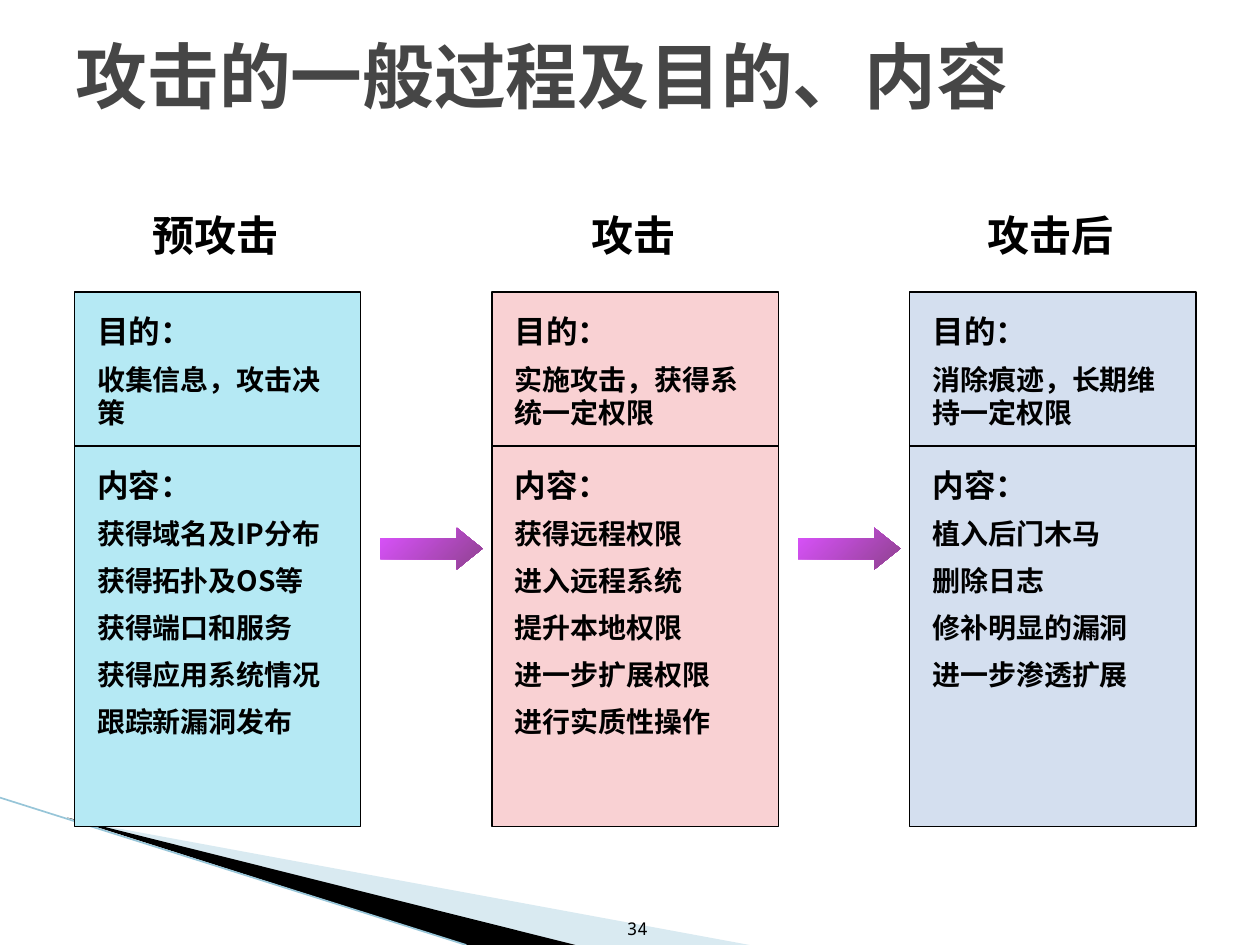
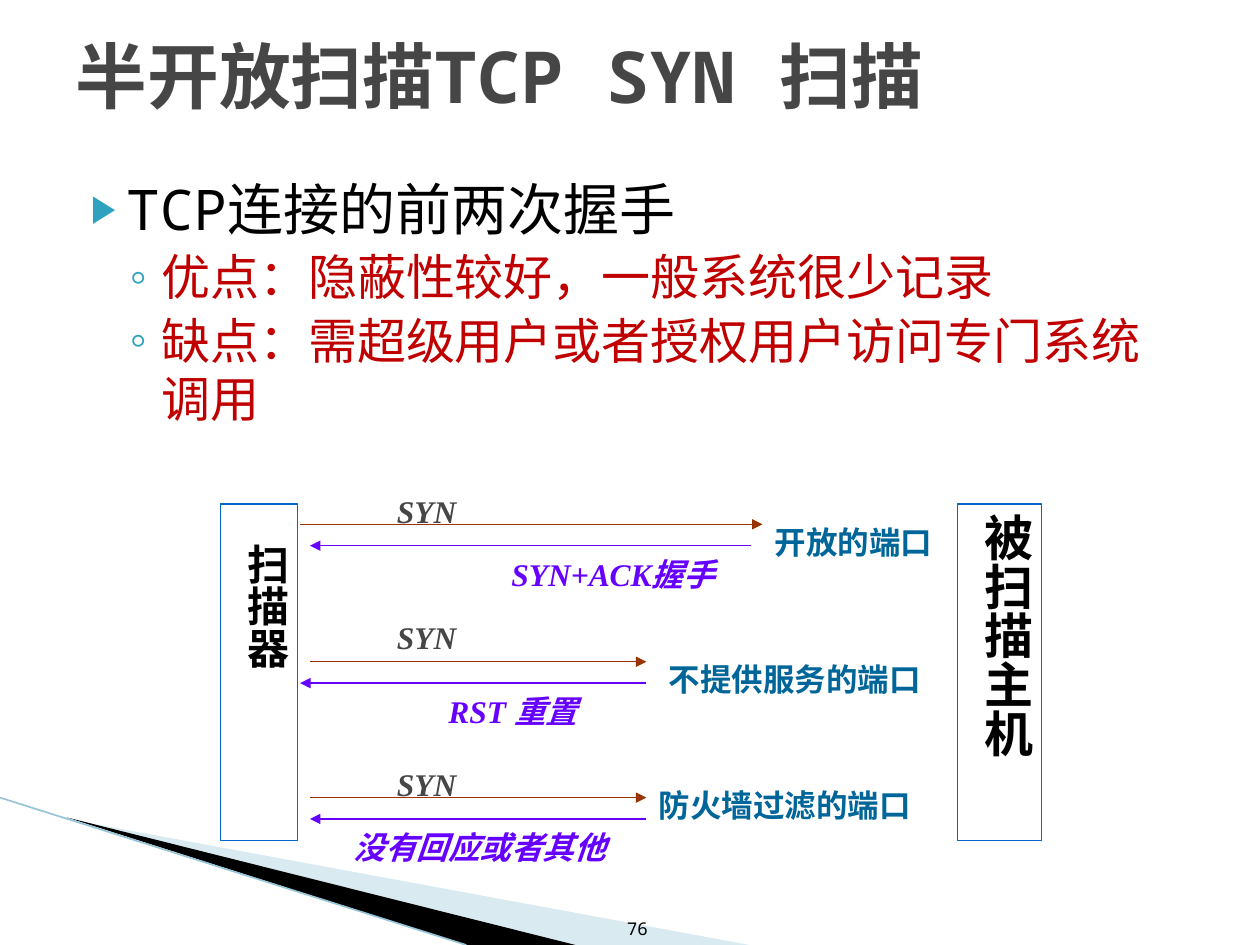
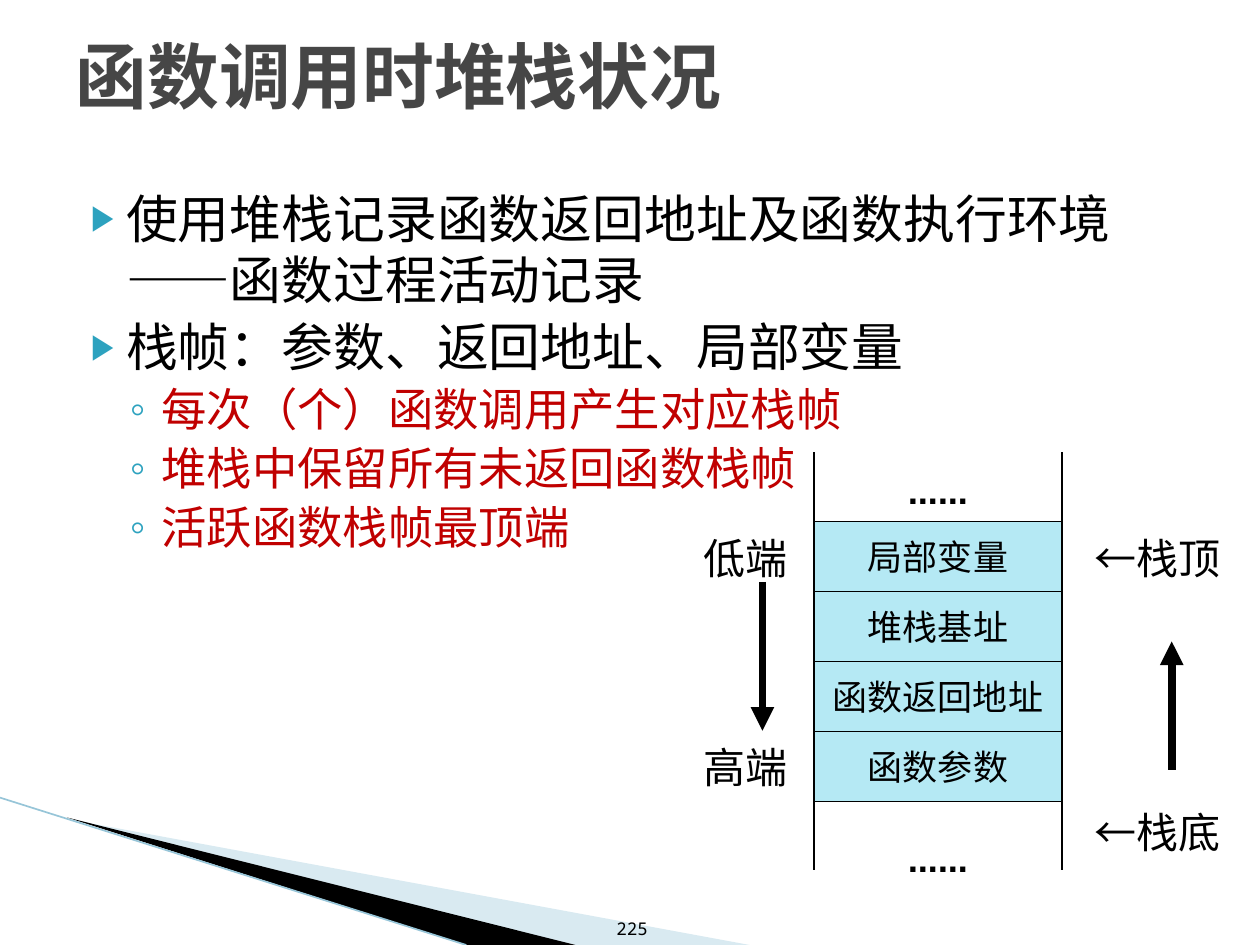
"""Builds three lecture slides on network attacks, port scans and call stacks."""
from lxml.etree import SubElement
from pptx import Presentation
from pptx.dml.color import RGBColor
from pptx.enum.shapes import MSO_CONNECTOR, MSO_SHAPE
from pptx.enum.text import MSO_ANCHOR, MSO_AUTO_SIZE, PP_ALIGN
from pptx.oxml.ns import qn
from pptx.util import Cm, Pt

ink = RGBColor.from_string
MONO, SERIF, CABIN, HAN = "Noto Sans Mono", "Times New Roman", "Cabin", "Noto Sans CJK SC"
BLACK, GREY, RED, TEAL = "000000", "464646", "C00000", "2DA2BF"
AQUA, BLUE, RUST, PURPLE = "B5E9F4", "006699", "993300", "6600FF"
LEFT, MID, RIGHT = PP_ALIGN.LEFT, PP_ALIGN.CENTER, PP_ALIGN.RIGHT


def put(page, spot, fill=None, edge=None):
    """Adds a text box, or a rectangle when an edge colour is given."""
    spot = [Cm(n) for n in spot]
    if not edge:
        box = page.shapes.add_textbox(*spot)
    else:
        box = page.shapes.add_shape(MSO_SHAPE.RECTANGLE, *spot)
        box.shadow.inherit = False
        box.line.color.rgb = ink(edge)
        box.line.width = Pt(0.75)
        box.fill.background()
        if fill:
            box.fill.solid()
            box.fill.fore_color.rgb = ink(fill)
        box.text_frame.vertical_anchor = MSO_ANCHOR.TOP
    box.text_frame.word_wrap = True
    return box


def write(frame, items, face, hue=BLACK, bold=False, slant=False,
          side=LEFT, gap=0.5, pad=3.6, fixed=True):
    """Fills a frame with one paragraph for each (text, size) pair."""
    frame.auto_size = MSO_AUTO_SIZE.NONE
    if fixed:
        frame.margin_top = Pt(pad + 0.12 * items[0][1])
    for i, (text, size) in enumerate(items):
        para = frame.add_paragraph() if i else frame.paragraphs[0]
        para.alignment = side
        para.space_before = Pt(gap * size if i else 0)
        if fixed:
            para.line_spacing = Pt(1.18 * size)
        run = para.add_run()
        run.text = text
        font = run.font
        font.name, font.size, font.bold, font.italic = face, Pt(size), bold, slant
        font.color.rgb = ink(hue)
        SubElement(run._r.get_or_add_rPr(), qn("a:ea"), typeface=HAN)


deck = Presentation()
deck.slide_width, deck.slide_height = Cm(25.4), Cm(19.05)

heads = [
    ("攻击的一般过程及目的、内容", "34", 5),
    ("半开放扫描TCP SYN 扫描", "76", 1),
    ("函数调用时堆栈状况", "225", 1),
]
for head, num, kind in heads:
    page = deck.slides.add_slide(deck.slide_layouts[kind])
    title = page.shapes.title
    title.left, title.top, title.width, title.height = Cm(1.27), Cm(-0.08), Cm(22.86), Cm(3.18)
    title.text_frame.vertical_anchor = MSO_ANCHOR.MIDDLE
    write(title.text_frame, [(head, 41)], MONO, GREY, bold=True, fixed=False)
    foot = put(page, (11.89, 17.81, 1.42, 1.24)).text_frame
    foot.vertical_anchor = MSO_ANCHOR.BOTTOM
    write(foot, [(num, 10)], MONO, side=RIGHT, fixed=False)

steps, scan, stack = deck.slides

lists = [
    (scan, 3.28, 14.48, [
        ("TCP连接的前两次握手", 32),
        ("优点：隐蔽性较好，一般系统很少记录", 28),
        ("缺点：需超级用户或者授权用户访问专门系统调用", 28)]),
    (stack, 3.53, 7.67, [
        ("使用堆栈记录函数返回地址及函数执行环境——函数过程活动记录", 29.6),
        ("栈帧：参数、返回地址、局部变量", 29.6),
        ("每次（个）函数调用产生对应栈帧", 25.9),
        ("堆栈中保留所有未返回函数栈帧", 25.9),
        ("活跃函数栈帧最顶端", 25.9)]),
]
for page, top, high, items in lists:
    body = page.placeholders[1]
    body.left, body.top, body.width, body.height = Cm(1.27), Cm(top), Cm(22.86), Cm(high)
    write(body.text_frame, items, MONO, gap=0.12)
    for para, (text, size) in zip(body.text_frame.paragraphs, items):
        sub = size < items[0][1]
        props = para._p.get_or_add_pPr()
        props.set("marL", str(Cm(1.73 if sub else 1.02)))
        props.set("indent", str(Cm(-0.64 if sub else -0.71)))
        SubElement(SubElement(props, qn("a:buClr")), qn("a:srgbClr"), val=TEAL)
        SubElement(props, qn("a:buSzPct"), val="100000" if sub else "68000")
        SubElement(props, qn("a:buChar"), char="◦" if sub else "▶")
        if sub:
            para.level = 1
            para.runs[0].font.color.rgb = ink(RED)

phases = [
    ("预攻击", AQUA, "收集信息，攻击决策",
     ["获得域名及IP分布", "获得拓扑及OS等", "获得端口和服务", "获得应用系统情况", "跟踪新漏洞发布"]),
    ("攻击", "F9D1D3", "实施攻击，获得系统一定权限",
     ["获得远程权限", "进入远程系统", "提升本地权限", "进一步扩展权限", "进行实质性操作"]),
    ("攻击后", "D4DFEF", "消除痕迹，长期维持一定权限",
     ["植入后门木马", "删除日志", "修补明显的漏洞", "进一步渗透扩展"]),
]
for i, (name, tint, goal, acts) in enumerate(phases):
    x = 1.5 + 8.42 * i
    write(put(steps, (x - 0.04, 4.01, 5.77, 1.28)).text_frame, [(name, 24)], SERIF, bold=True, side=MID)
    for top, high, label, rows in [(5.89, 3.1, "目的：", [goal]), (8.99, 7.67, "内容：", acts)]:
        frame = put(steps, (x, top, 5.77, high), tint, BLACK).text_frame
        frame.margin_left, frame.margin_right = Cm(0.46), Cm(0.3)
        write(frame, [(label, 18)] + [(row, 16) for row in rows], HAN, bold=True, pad=9.4)
    if i:
        arrow = steps.shapes.add_shape(MSO_SHAPE.RIGHT_ARROW, Cm(x - 2.25), Cm(10.64), Cm(2.06), Cm(0.84))
        arrow.shadow.inherit = False
        arrow.adjustments[0], arrow.adjustments[1] = 0.5, 0.62
        arrow.line.fill.background()
        arrow.fill.gradient()
        arrow.fill.gradient_angle = 315
        for stop, hue in zip(arrow.fill.gradient_stops, ["DC52FF", "8E428E"]):
            stop.color.rgb = ink(hue)

for name, size, x, wide, top in [("扫描器", 24, 4.45, 1.55, 0.8), ("被扫描主机", 28, 19.3, 1.7, 0.2)]:
    host = put(scan, (x, 10.16, wide, 8.53 - 1.75), edge="0066CC")
    host.element.txBody.bodyPr.set("vert", "eaVert")
    frame = host.text_frame
    write(frame, [(name, size)], SERIF, bold=True)
    frame.margin_left = frame.margin_right = Cm(0.13)
    frame.margin_top = Cm(top)

links = []
probes = [
    (6.05, 15.37, 10.57, 15.14, 6.25, 9.73, "SYN+ACK握手", 10.06, "开放的端口", 15.37, 10.36),
    (6.25, 13.03, 13.34, 13.03, 6.05, 12.27, "RST 重置", 8.79, "不提供服务的端口", 13.23, 13.11),
    (6.25, 13.03, 16.08, 13.03, 6.25, 15.24, "没有回应或者其他", 6.88, "防火墙过滤的端口", 13.03, 15.65),
]
for start, end, y, back, home, high, reply, rx, port, px, py in probes:
    low = y + 0.43
    links += [(scan, start, y, end, y, RUST, 0.75, True),
              (scan, back, low, home, low, PURPLE, 0.75, True)]
    for text, x, top, hue, slant in [("SYN", 7.75, high, GREY, True),
                                     (reply, rx, low, PURPLE, True),
                                     (port, px, py, BLUE, False)]:
        frame = put(scan, (x, top, 6.15, 1.02)).text_frame
        write(frame, [(text, 18)], SERIF, hue, bold=True, slant=slant)

for i, name in enumerate(["局部变量", "堆栈基址", "函数返回地址", "函数参数"]):
    frame = put(stack, (16.41, 10.52 + 1.41 * i, 5, 1.41), AQUA, BLACK).text_frame
    frame.vertical_anchor = MSO_ANCHOR.MIDDLE
    frame.word_wrap = False
    write(frame, [(name, 20)], CABIN, side=MID, fixed=False)

notes = [
    ("低端", 13.94, 10.52, 2.21), ("高端", 13.94, 14.73, 2.21),
    ("←栈顶", 21.82, 10.52, 3.48), ("←栈底", 21.82, 16.05, 3.48),
    ("……", 16.41, 9.12, 5), ("……", 16.41, 16.54, 5),
]
for text, x, y, wide in notes:
    dots = text == "……"
    frame = put(stack, (x, y, wide, 1.28)).text_frame
    write(frame, [(text, 24)], CABIN, bold=dots, side=MID if dots else LEFT)

links += [
    (stack, 16.41, 9.12, 16.41, 17.53, BLACK, 0.75, False),
    (stack, 21.41, 9.12, 21.41, 17.53, BLACK, 0.75, False),
    (stack, 15.37, 11.73, 15.37, 14.73, BLACK, 4.5, True),
    (stack, 23.62, 15.52, 23.62, 12.93, BLACK, 4.5, True),
]

decor = []
for hue, first, rest in [("D9EAF1", (1.4, 16.52), [(15.11, 19.05), (11.58, 19.05)]),
                         (BLACK, (1.35, 16.48), [(11.6, 19.05), (9.4, 19.05)])]:
    pen = steps.shapes.build_freeform(Cm(first[0]), Cm(first[1]))
    pen.add_line_segments([(Cm(x), Cm(y)) for x, y in rest], close=True)
    wedge = pen.convert_to_shape()
    wedge.shadow.inherit = False
    wedge.fill.solid()
    wedge.fill.fore_color.rgb = ink(hue)
    wedge.line.fill.background()
    decor.append(wedge)

links.append((steps, 0, 16.08, 9.4, 19.05, "97C5D8", 0.95, False))
for page, x, y, right, low, hue, wide, tip in links:
    link = page.shapes.add_connector(MSO_CONNECTOR.STRAIGHT, Cm(x), Cm(y), Cm(right), Cm(low))
    link.line.color.rgb = ink(hue)
    link.line.width = Pt(wide)
    if tip:
        SubElement(link.line._get_or_add_ln(), qn("a:tailEnd"), type="triangle")
    SubElement(link.element.spPr, qn("a:effectLst"))
decor.append(link)

for shape in decor:
    deck.slide_master.shapes.element.append(shape.element)

deck.save("out.pptx")
